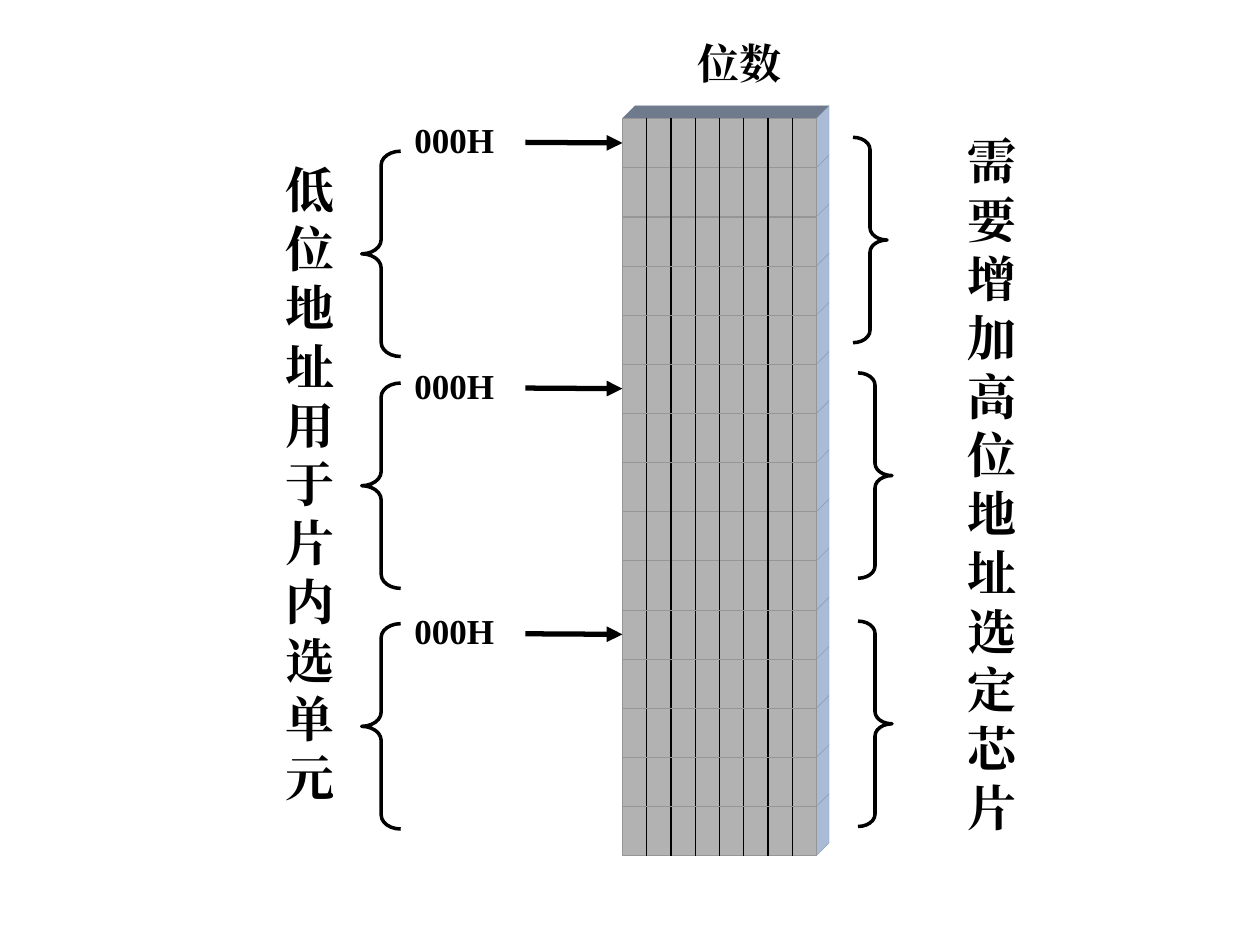
from dataclasses import dataclass

from lxml.etree import SubElement
from pptx import Presentation
from pptx.dml.color import RGBColor
from pptx.enum.shapes import MSO_CONNECTOR, MSO_SHAPE
from pptx.enum.text import MSO_AUTO_SIZE
from pptx.oxml.ns import qn
from pptx.util import Inches, Pt

COLORS = {
    "ink": "000000",
    "front": "B2B2B2",
    "front_edge": "969696",
    "top": "6F7B8C",
    "side": "AABBD5",
    "side_edge": "8C9CB8",
}
FONT = "Times New Roman"

# Memory grid: three chips of five words, eight bits each
LEFT, TOP, WIDTH = 4.94, 0.94, 1.54
RIGHT = LEFT + WIDTH
ROW, BITS, WORDS, CHIPS = 0.39, 8, 5, 3
BIT = WIDTH / BITS
DEPTH = 0.1
BRACE_HEIGHT = 1.63


@dataclass
class Brace:
    kind: MSO_SHAPE
    left: float
    top: float
    width: float


@dataclass
class Label:
    text: str
    left: float
    top: float
    width: float
    height: float
    size: int
    wrap: bool = True


BRACES = [Brace(MSO_SHAPE.LEFT_BRACE, 2.87, top, 0.31) for top in (1.2, 3.04, 4.95)] + [
    Brace(MSO_SHAPE.RIGHT_BRACE, left, top, 0.27)
    for left, top in ((6.77, 1.09), (6.81, 2.96), (6.81, 4.93))
]
LABELS = [
    Label("低位地址用于片内选单元", 2.17, 1.22, 0.41, 5.28, 28),
    Label("需要增加高位地址选定芯片", 7.58, 0.99, 0.41, 5.76, 28),
    Label("位数", 5.44, 0.25, 1.05, 0.5, 24),
]


def color(name: str) -> RGBColor:
    return RGBColor.from_string(COLORS[name])


def paint(shape, fill: str, edge: str) -> None:
    shape.shadow.inherit = False
    shape.fill.solid()
    shape.fill.fore_color.rgb = color(fill)
    shape.line.color.rgb = color(edge)
    shape.line.width = Pt(0.25)


def add_face(shapes, points: list, fill: str, edge: str) -> None:
    corners = [(Inches(x), Inches(y)) for x, y in points]
    builder = shapes.build_freeform(*corners[0], scale=1.0)
    builder.add_line_segments(corners[1:], close=True)
    paint(builder.convert_to_shape(), fill, edge)


def add_line(shapes, start: tuple, end: tuple, width: float):
    line = shapes.add_connector(
        MSO_CONNECTOR.STRAIGHT, *(Inches(value) for value in start + end))
    line.line.color.rgb = color("ink")
    line.line.width = Pt(width)
    SubElement(line._element.spPr, qn("a:effectLst"))
    return line


def add_label(shapes, label: Label) -> None:
    box = shapes.add_textbox(
        Inches(label.left), Inches(label.top), Inches(label.width), Inches(label.height))
    frame = box.text_frame
    frame.word_wrap = label.wrap
    frame.auto_size = MSO_AUTO_SIZE.SHAPE_TO_FIT_TEXT
    paragraph = frame.paragraphs[0]
    paragraph.line_spacing = Pt(label.size * 1.2)
    run = paragraph.add_run()
    run.text = label.text
    run.font.size = Pt(label.size)
    run.font.bold = True
    run.font.name = FONT
    run.font.color.rgb = color("ink")
    SubElement(run.font._element, qn("a:ea"), typeface=FONT)


def add_word(shapes, top: float):
    """One row of bits with its raised right side."""
    bottom = top + ROW
    add_face(shapes, [(RIGHT, top), (RIGHT + DEPTH, top - DEPTH),
                      (RIGHT + DEPTH, bottom - DEPTH), (RIGHT, bottom)],
             "side", "side_edge")
    cell = shapes.add_shape(
        MSO_SHAPE.RECTANGLE, Inches(LEFT), Inches(top), Inches(WIDTH), Inches(ROW))
    paint(cell, "front", "front_edge")
    for bit in range(1, BITS):
        x = LEFT + bit * BIT
        add_line(shapes, (x, top), (x, bottom), 0.75)
    return cell


def add_chip(slide, chip: int) -> None:
    shapes = slide.shapes.add_group_shape().shapes
    top = TOP + chip * WORDS * ROW
    if chip == 0:
        add_face(shapes, [(LEFT, top), (LEFT + DEPTH, top - DEPTH),
                          (RIGHT + DEPTH, top - DEPTH), (RIGHT, top)], "top", "top")
    for word in reversed(range(WORDS)):
        cell = add_word(shapes, top + word * ROW)

    # Arrow from the start address to the first word
    arrow = add_line(shapes, (4.17, top + 0.19), (LEFT, top + ROW / 2), 3)
    arrow.end_connect(cell, 1)
    SubElement(arrow.line._get_or_add_ln(), qn("a:tailEnd"), type="triangle")
    add_label(shapes, Label("000H", 3.19, top - 0.05, 0.84, 0.44, 20, wrap=False))


def add_brace(slide, brace: Brace) -> None:
    shape = slide.shapes.add_shape(
        brace.kind, Inches(brace.left), Inches(brace.top),
        Inches(brace.width), Inches(BRACE_HEIGHT))
    shape.adjustments[0] = 0.36
    shape.shadow.inherit = False
    shape.fill.background()
    shape.line.color.rgb = color("ink")
    shape.line.width = Pt(2)


def main() -> None:
    presentation = Presentation()
    presentation.slide_width = Inches(10)
    presentation.slide_height = Inches(7.5)
    slide = presentation.slides.add_slide(presentation.slide_layouts[6])

    # Chips, from the lowest to the highest
    for chip in reversed(range(CHIPS)):
        add_chip(slide, chip)

    # Braces and captions around the memory
    for brace in BRACES:
        add_brace(slide, brace)
    for label in LABELS:
        add_label(slide.shapes, label)

    presentation.save("out.pptx")


if __name__ == "__main__":
    main()
